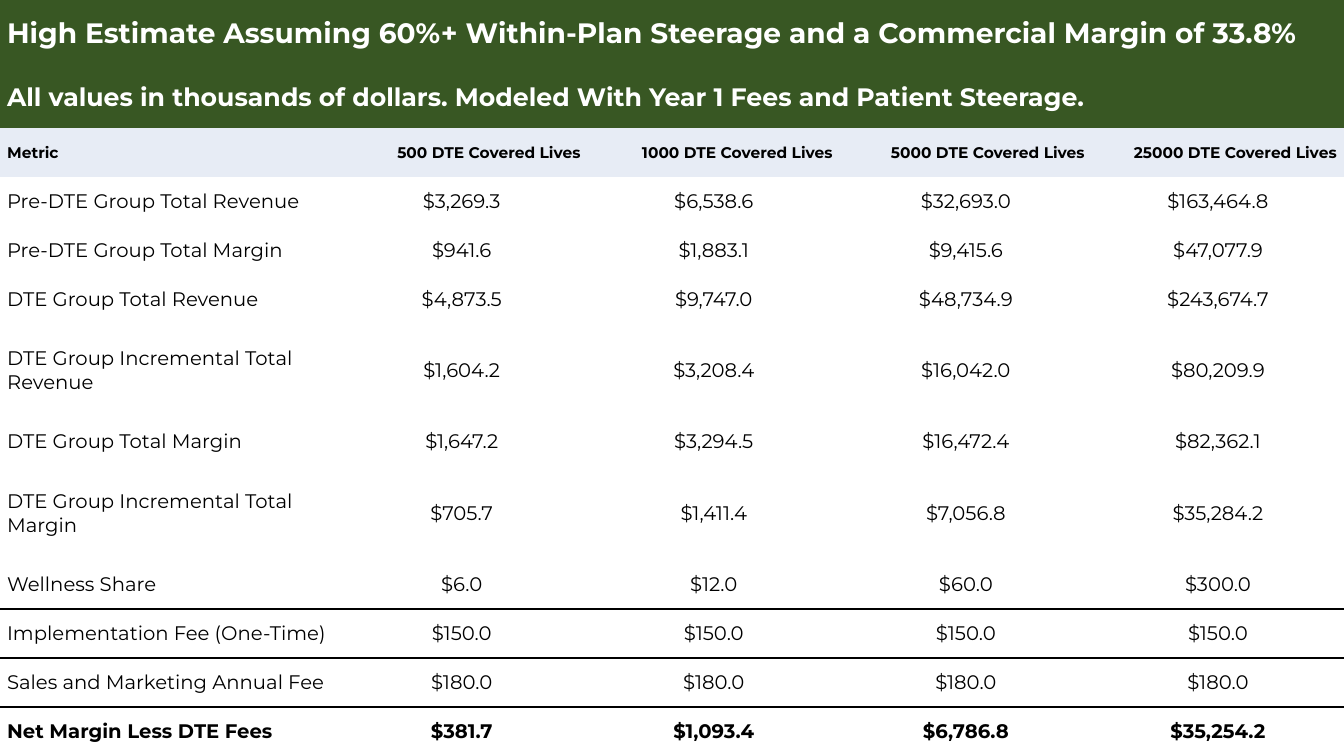
import pptx
import pptx.util
import pptx.dml.color
import pptx.enum.text
import pptx.oxml
import pptx.oxml.ns

Inches = pptx.util.Inches
ALIGN = pptx.enum.text.PP_ALIGN

HEADLINES = [
    "High Estimate Assuming 60%+ Within-Plan Steerage and a Commercial Margin of 33.8%",
    "All values in thousands of dollars. Modeled With Year 1 Fees and Patient Steerage.",
]
COLUMN_HEADS = [
    "Metric",
    "500 DTE Covered Lives",
    "1000 DTE Covered Lives",
    "5000 DTE Covered Lives",
    "25000 DTE Covered Lives",
]
METRICS = [
    ("Pre-DTE Group Total Revenue", "$3,269.3", "$6,538.6", "$32,693.0", "$163,464.8"),
    ("Pre-DTE Group Total Margin", "$941.6", "$1,883.1", "$9,415.6", "$47,077.9"),
    ("DTE Group Total Revenue", "$4,873.5", "$9,747.0", "$48,734.9", "$243,674.7"),
    ("DTE Group Incremental Total Revenue", "$1,604.2", "$3,208.4", "$16,042.0", "$80,209.9"),
    ("DTE Group Total Margin", "$1,647.2", "$3,294.5", "$16,472.4", "$82,362.1"),
    ("DTE Group Incremental Total Margin", "$705.7", "$1,411.4", "$7,056.8", "$35,284.2"),
    ("Wellness Share", "$6.0", "$12.0", "$60.0", "$300.0"),
    ("Implementation Fee (One-Time)", "$150.0", "$150.0", "$150.0", "$150.0"),
    ("Sales and Marketing Annual Fee", "$180.0", "$180.0", "$180.0", "$180.0"),
    ("Net Margin Less DTE Fees", "$381.7", "$1,093.4", "$6,786.8", "$35,254.2"),
]
RULED_BELOW = {"Wellness Share", "Sales and Marketing Annual Fee"}
TALL = {"DTE Group Incremental Total Revenue", "DTE Group Incremental Total Margin"}
TOTAL = "Net Margin Less DTE Fees"

THEME = {
    "font": "Montserrat",
    "banner": "385723",
    "head": "E7ECF5",
    "light": "FFFFFF",
    "dark": "000000",
    "headline_sizes": [20, 18],
    "head_size": 11,
    "body_size": 14,
}

SLIDE_WIDTH, SLIDE_HEIGHT = 13.33, 7.5
METRIC_WIDTH, VALUE_WIDTH = 3.33, 2.5
HEADLINE_HEIGHTS = [0.67, 0.6]
TALL_HEIGHT = 0.93
SIDE_INDENT = 0.07
NO_GRID_STYLE = "{2D5ABB26-0587-4C30-8999-92F81FD0307C}"


def write(cell, text, *, size, color="dark", bold=False, align=ALIGN.LEFT, fill=None):
    cell.margin_left = cell.margin_right = cell.margin_top = cell.margin_bottom = 0
    cell.vertical_anchor = pptx.enum.text.MSO_ANCHOR.MIDDLE
    if fill:
        cell.fill.solid()
        cell.fill.fore_color.rgb = pptx.dml.color.RGBColor.from_string(THEME[fill])
    else:
        cell.fill.background()
    paragraph = cell.text_frame.paragraphs[0]
    paragraph.alignment = align
    properties = paragraph._p.get_or_add_pPr()
    for side in ("marL", "marR"):
        properties.set(side, str(Inches(SIDE_INDENT)))
    run = paragraph.add_run()
    run.text = text
    run.font.name = THEME["font"]
    run.font.size = pptx.util.Pt(size)
    run.font.bold = bold
    run.font.color.rgb = pptx.dml.color.RGBColor.from_string(THEME[color])


def rule(cell, edge):
    line = pptx.oxml.parse_xml(
        f'<a:{edge} {pptx.oxml.ns.nsdecls("a")} w="{pptx.util.Pt(1)}"><a:solidFill>'
        f'<a:srgbClr val="{THEME["dark"]}"/></a:solidFill></a:{edge}>'
    )
    cell._tc.get_or_add_tcPr().insert(0, line)


def main():
    deck = pptx.Presentation()
    deck.slide_width, deck.slide_height = Inches(SLIDE_WIDTH), Inches(SLIDE_HEIGHT)
    slide = deck.slides.add_slide(deck.slide_layouts[6])

    head_row = len(HEADLINES)
    row_count = head_row + 1 + len(METRICS)
    regular_count = row_count - head_row - len(TALL)
    regular = (SLIDE_HEIGHT - sum(HEADLINE_HEIGHTS) - TALL_HEIGHT * len(TALL)) / regular_count
    heights = HEADLINE_HEIGHTS + [regular]
    heights += [TALL_HEIGHT if metric[0] in TALL else regular for metric in METRICS]
    widths = [METRIC_WIDTH] + [VALUE_WIDTH] * (len(COLUMN_HEADS) - 1)

    estimate = slide.shapes.add_table(
        row_count, len(widths), 0, 0, Inches(sum(widths)), Inches(SLIDE_HEIGHT)
    ).table
    estimate.first_row = estimate.horz_banding = False
    estimate._tbl.tblPr.find(pptx.oxml.ns.qn("a:tableStyleId")).text = NO_GRID_STYLE
    for column, width in zip(estimate.columns, widths):
        column.width = Inches(width)
    for row, height in zip(estimate.rows, heights):
        row.height = Inches(height)

    for index, (headline, size) in enumerate(zip(HEADLINES, THEME["headline_sizes"])):
        banner = estimate.cell(index, 0)
        banner.merge(estimate.cell(index, len(widths) - 1))
        write(banner, headline, size=size, color="light", bold=True, fill="banner")

    for index, head in enumerate(COLUMN_HEADS):
        write(estimate.cell(head_row, index), head, size=THEME["head_size"], bold=True,
              align=ALIGN.RIGHT if index else ALIGN.LEFT, fill="head")

    for row, metric in enumerate(METRICS, head_row + 1):
        for index, entry in enumerate(metric):
            write(estimate.cell(row, index), entry, size=THEME["body_size"],
                  bold=metric[0] == TOTAL, align=ALIGN.CENTER if index else ALIGN.LEFT)
            if metric[0] in RULED_BELOW:
                rule(estimate.cell(row, index), "lnB")
                rule(estimate.cell(row + 1, index), "lnT")

    deck.save("out.pptx")


if __name__ == "__main__":
    main()
